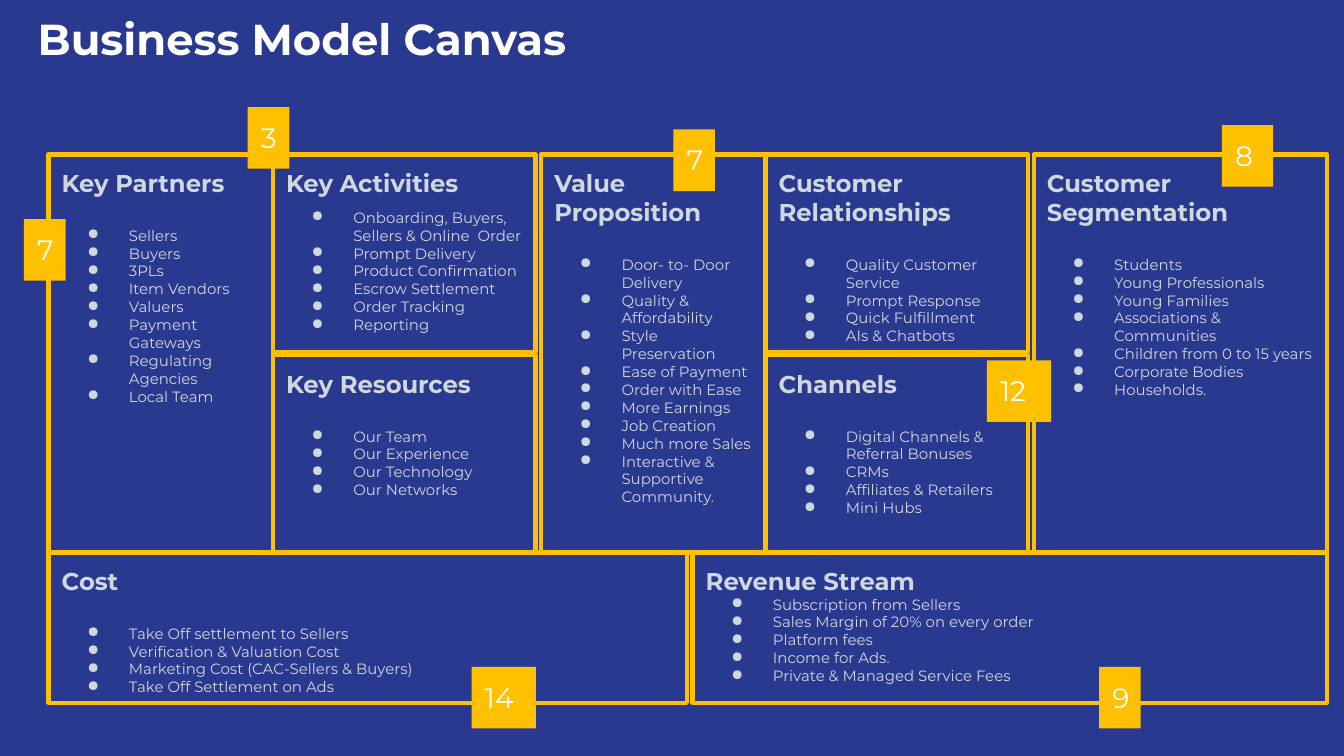
"""Build a one-slide business model canvas."""
import dataclasses

import lxml.etree
import pptx
import pptx.dml.color
import pptx.enum.shapes
import pptx.enum.text
import pptx.oxml.ns
import pptx.util

Pt = pptx.util.Pt


def rgb(value):
    return pptx.dml.color.RGBColor.from_string(value)


@dataclasses.dataclass(frozen=True)
class Theme:
    font: str = "Montserrat"
    background: str = "2A3990"
    accent: str = "FFC000"
    bright: str = "FFFFFF"
    soft: str = "CFD8DC"
    title_size: float = 23.2
    badge_size: float = 15
    heading_size: float = 13
    body_size: float = 8
    inset: float = 7.2
    border: float = 2.25
    bullet_indent: float = 36
    bullet_hang: float = 22.3


class CanvasBuilder:
    def __init__(self, slide, theme):
        self.slide = slide
        self.theme = theme
        slide.background.fill.solid()
        slide.background.fill.fore_color.rgb = rgb(theme.background)

    def format_frame(self, frame):
        frame.word_wrap = True
        frame.auto_size = pptx.enum.text.MSO_AUTO_SIZE.NONE
        frame.vertical_anchor = pptx.enum.text.MSO_ANCHOR.TOP
        frame.margin_left = frame.margin_right = Pt(self.theme.inset)
        frame.margin_top = frame.margin_bottom = Pt(self.theme.inset)

    def format_paragraph(self, paragraph, text, size, color, bold=False):
        paragraph.text = text
        paragraph.alignment = pptx.enum.text.PP_ALIGN.LEFT
        font = paragraph.font
        font.name, font.size, font.bold = self.theme.font, Pt(size), bold
        font.color.rgb = rgb(color)

    def add_bullet(self, paragraph):
        properties = paragraph._p.get_or_add_pPr()
        properties.set("marL", str(Pt(self.theme.bullet_indent)))
        properties.set("indent", str(-Pt(self.theme.bullet_hang)))
        bullet = lxml.etree.SubElement(properties, pptx.oxml.ns.qn("a:buChar"))
        bullet.set("char", "●")

    def title(self, text, left, top, width, height):
        shape = self.slide.shapes.title
        shape.left, shape.top = Pt(left), Pt(top)
        shape.width, shape.height = Pt(width), Pt(height)
        self.format_frame(shape.text_frame)
        paragraph = shape.text_frame.paragraphs[0]
        self.format_paragraph(paragraph, text, self.theme.title_size,
                              self.theme.bright, True)
        paragraph.line_spacing = 0.8

    def rectangle(self, left, top, width, height):
        shape = self.slide.shapes.add_shape(
            pptx.enum.shapes.MSO_SHAPE.RECTANGLE,
            Pt(left), Pt(top), Pt(width), Pt(height))
        shape.shadow.inherit = False
        self.format_frame(shape.text_frame)
        return shape

    def block(self, box, heading, items, gap):
        shape = self.rectangle(*box)
        shape.fill.background()
        shape.line.color.rgb = rgb(self.theme.accent)
        shape.line.width = Pt(self.theme.border)
        frame = shape.text_frame
        paragraph = frame.paragraphs[0]
        self.format_paragraph(paragraph, heading, self.theme.heading_size,
                              self.theme.soft, True)
        paragraph.space_after = Pt(gap)
        for item in items:
            paragraph = frame.add_paragraph()
            self.add_bullet(paragraph)
            self.format_paragraph(paragraph, item, self.theme.body_size,
                                  self.theme.soft)

    def badge(self, text, left, top, width):
        shape = self.rectangle(left, top, width, 33)
        shape.fill.solid()
        shape.fill.fore_color.rgb = rgb(self.theme.accent)
        shape.line.fill.background()
        self.format_paragraph(shape.text_frame.paragraphs[0], text,
                              self.theme.badge_size, self.theme.bright)


LEFT, TOP, RIGHT = 26, 82.8, 711
NARROW, WIDE, GAP = 120.2, 140.7, 3
FULL, ROW_GAP, FOOT = 213.2, 2, 80.6
HALF = (FULL - ROW_GAP) / 2
LOWER, BOTTOM = TOP + HALF + ROW_GAP, TOP + FULL
ACTIVITIES = LEFT + NARROW
VALUE = ACTIVITIES + WIDE + GAP
CUSTOMERS = VALUE + NARROW
SEGMENTS = CUSTOMERS + WIDE + GAP
REVENUE = 371
LARGE_GAP, SMALL_GAP = 15.6, 6

BLOCKS = [
    ((LEFT, TOP, NARROW, FULL), "Key Partners",
     ["Sellers", "Buyers", "3PLs", "Item Vendors", "Valuers", "Payment Gateways",
      "Regulating Agencies", "Local Team"], LARGE_GAP),
    ((ACTIVITIES, TOP, WIDE, HALF), "Key Activities",
     ["Onboarding, Buyers, Sellers & Online  Order", "Prompt Delivery",
      "Product Confirmation", "Escrow Settlement", "Order Tracking",
      "Reporting"], SMALL_GAP),
    ((ACTIVITIES, LOWER, WIDE, HALF), "Key Resources",
     ["Our Team", "Our Experience", "Our Technology", "Our Networks"], LARGE_GAP),
    ((VALUE, TOP, NARROW, FULL), "Value Proposition",
     ["Door- to- Door Delivery", "Quality & Affordability", "Style Preservation",
      "Ease of Payment", "Order with Ease", "More Earnings", "Job Creation",
      "Much more Sales", "Interactive & Supportive Community."], LARGE_GAP),
    ((CUSTOMERS, TOP, WIDE, HALF), "Customer Relationships",
     ["Quality Customer Service", "Prompt Response", "Quick Fulfillment",
      "AIs & Chatbots"], LARGE_GAP),
    ((CUSTOMERS, LOWER, WIDE, HALF), "Channels",
     ["Digital Channels & Referral Bonuses", "CRMs", "Affiliates & Retailers",
      "Mini Hubs"], LARGE_GAP),
    ((SEGMENTS, TOP, RIGHT - SEGMENTS, FULL), "Customer Segmentation",
     ["Students", "Young Professionals", "Young Families",
      "Associations & Communities", "Children from 0 to 15 years",
      "Corporate Bodies", "Households."], LARGE_GAP),
    ((LEFT, BOTTOM, REVENUE - GAP - LEFT, FOOT), "Cost",
     ["Take Off settlement to Sellers", "Verification & Valuation Cost",
      "Marketing Cost (CAC-Sellers & Buyers)", "Take Off Settlement on Ads"],
     LARGE_GAP),
    ((REVENUE, BOTTOM, RIGHT - REVENUE, FOOT), "Revenue Stream",
     ["Subscription from Sellers", "Sales Margin of 20% on every order",
      "Platform fees", "Income for Ads.", "Private & Managed Service Fees"], 0),
]
ONE_DIGIT, TWO_DIGITS = 22.3, 34.4
BADGES = [
    ("7", 12.8, 117.4, ONE_DIGIT),
    ("3", 132.7, 57.4, ONE_DIGIT),
    ("14", 252.7, 357.3, TWO_DIGITS),
    ("9", 588.8, 357.3, ONE_DIGIT),
    ("7", 360.7, 69.4, ONE_DIGIT),
    ("12", 528.7, 193.1, TWO_DIGITS),
    ("8", 654.6, 67.1, 27.4),
]


def main():
    presentation = pptx.Presentation()
    presentation.slide_width, presentation.slide_height = Pt(720), Pt(405)
    slide = presentation.slides.add_slide(presentation.slide_layouts[5])
    builder = CanvasBuilder(slide, Theme())
    builder.title("Business Model Canvas", 13, 5, 303, 36.7)
    for block in BLOCKS:
        builder.block(*block)
    for badge in BADGES:
        builder.badge(*badge)
    presentation.save("out.pptx")


if __name__ == "__main__":
    main()
